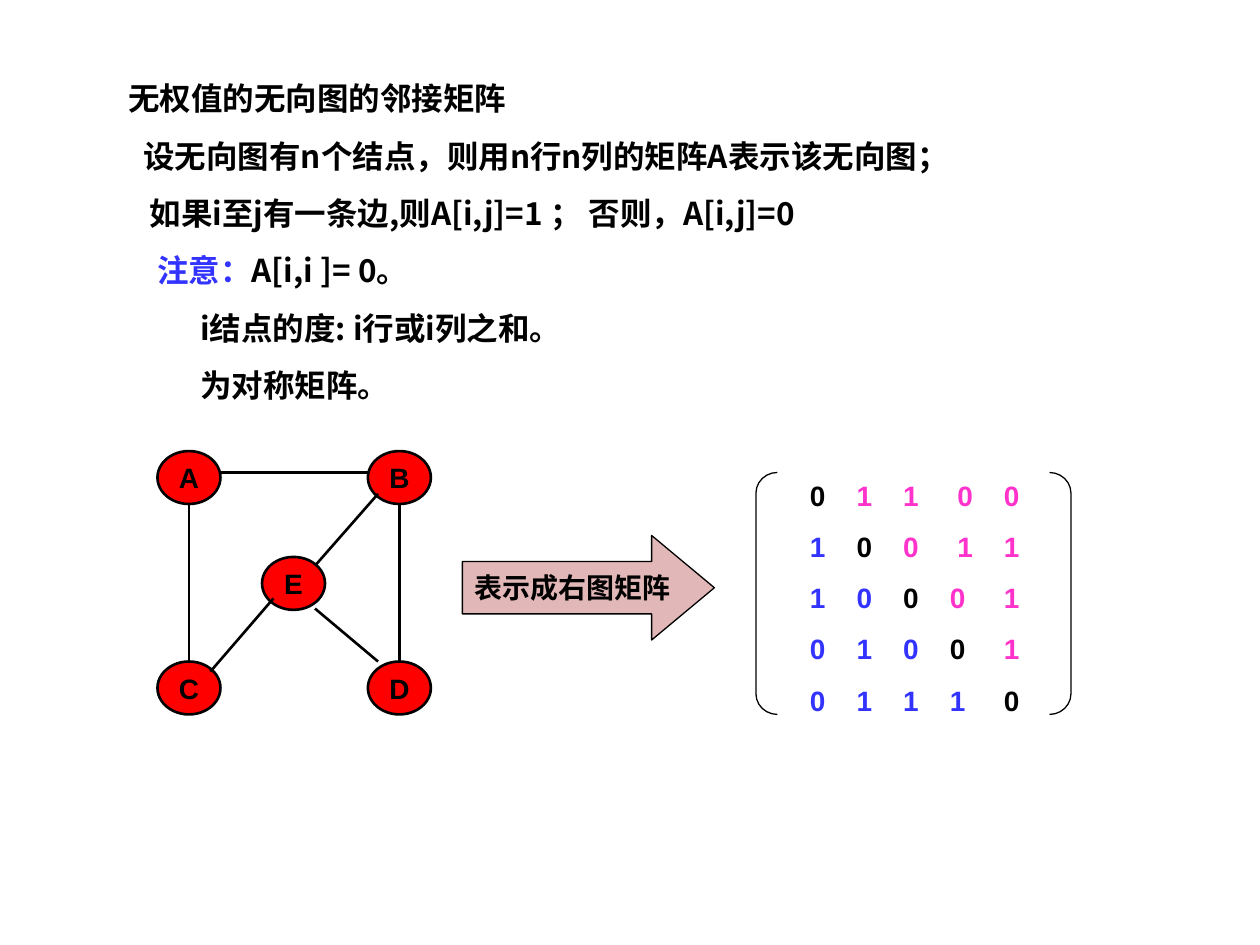
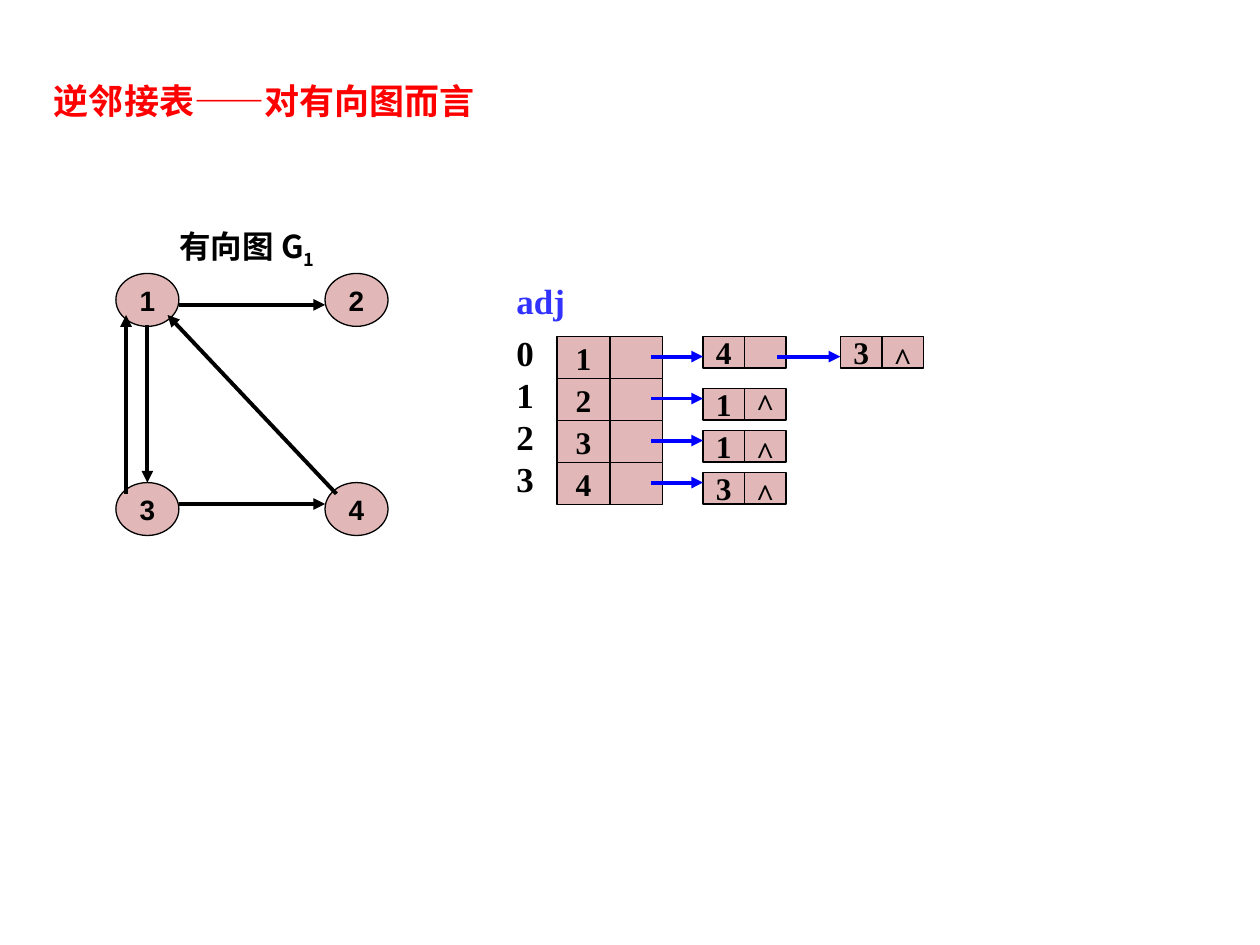
"""Two slides on graph storage: the adjacency matrix and the inverse adjacency list."""
import lxml.etree
import pptx
import pptx.dml.color
import pptx.enum.shapes
import pptx.enum.text
import pptx.oxml.ns
import pptx.util

Inches, Pt = pptx.util.Inches, pptx.util.Pt
PRESET = pptx.enum.shapes.MSO_SHAPE
ALIGN = pptx.enum.text.PP_ALIGN
ANCHOR = pptx.enum.text.MSO_ANCHOR
qn = pptx.oxml.ns.qn

COLORS = {"ink": "000000", "red": "FF0000", "rose": "E1B7B7", "pink": "FF33CC",
          "note": "3333FF", "pointer": "0000FF"}
STYLES = {
    "body": {"name": "Noto Sans CJK SC", "size": Pt(18), "bold": True},
    "label": {"name": "Arial", "size": Pt(16), "bold": True},
    "title": {"name": "Arial", "size": Pt(20), "bold": True},
    "index": {"name": "Times New Roman", "size": Pt(20), "bold": True},
    "cell": {"name": "Times New Roman", "size": Pt(18), "bold": True},
}

DEFINITION = [
    (0, [("无权值的无向图的邻接矩阵", "ink")]),
    (0.12, [("设无向图有n个结点，则用n行n列的矩阵A表示该无向图；", "ink")]),
    (0.17, [("如果i至j有一条边,则A[i,j]=1 ； 否则，A[i,j]=0", "ink")]),
    (0.23, [("注意：", "note"), ("A[i,i ]= 0。", "ink")]),
    (0.57, [("i结点的度: i行或i列之和。", "ink")]),
    (0.57, [("为对称矩阵。", "ink")]),
]
UNDIRECTED_NODES = {"A": (1.25, 3.58), "B": (2.92, 3.58), "C": (1.25, 5.25),
                    "D": (2.92, 5.25), "E": (2.08, 4.42)}
UNDIRECTED_EDGES = [
    (1.75, 3.75, 2.92, 3.75), (2.5, 4.49, 3, 3.92), (1.5, 4, 1.5, 5.25),
    (3.17, 4, 3.17, 5.25), (1.67, 5.33, 2.17, 4.75), (3, 5.25, 2.5, 4.83),
]
ARROW_LABEL = "表示成右图矩阵"
MATRIX = ["01100", "10011", "10001", "01001", "01110"]
MATRIX_STOPS = [(0.37, 0.74, 1.17, 1.54)] * 2 + [(0.37, 0.74, 1.11, 1.54)] * 3
BRACKETS = [(PRESET.LEFT_BRACKET, 6), (PRESET.RIGHT_BRACKET, 8.33)]

LIST_TITLE = "逆邻接表——对有向图而言"
GRAPH_NAME = ("有向图 G", "1")
DIRECTED_NODES = {"1": (0.92, 2.17), "2": (2.58, 2.17), "3": (0.92, 3.83), "4": (2.58, 3.83)}
DIRECTED_EDGES = [
    (1.42, 2.42, 2.58, 2.42), (1.42, 4, 2.58, 4), (1.17, 2.58, 1.17, 3.83),
    (2.67, 3.92, 1.33, 2.5), (1, 3.92, 1, 2.5),
]
LIST_NAME = "adj"
ADJACENCY = [("1", ["4", "3"]), ("2", ["1"]), ("3", ["1"]), ("4", ["3"])]
END_MARK = "^"
END_SPACING = [1.3, 1, 1.3, 1.3]

NODE_SIZE = (0.5, 0.42)
HEAD_LEFT, HEAD_TOP, HEAD_WIDTH, ROW_HEIGHT = 4.42, 2.67, 0.42, 1 / 3
LINK_LEFTS, LINK_WIDTH, LINK_HEIGHT = (5.58, 6.67), 0.33, 0.25
POINTER_STARTS = (5.17, 6.17)


def rgb(color):
    return pptx.dml.color.RGBColor.from_string(COLORS[color])


def add_run(paragraph, text, style, color="ink"):
    run = paragraph.add_run()
    run.text = text
    for attribute, value in STYLES[style].items():
        setattr(run.font, attribute, value)
    run.font.color.rgb = rgb(color)
    if style == "body":
        lxml.etree.SubElement(run.font._element, qn("a:ea"), typeface=STYLES[style]["name"])
    return run


def add_text(slide, box, lines, style, gap=0, align=ALIGN.LEFT):
    """Each line is (indent, runs, tab stops); gap is the space between lines."""
    frame = slide.shapes.add_textbox(*map(Inches, box)).text_frame
    frame.word_wrap = True
    for number, (indent, runs, stops) in enumerate(lines):
        paragraph = frame.add_paragraph() if number else frame.paragraphs[0]
        properties = paragraph._p.get_or_add_pPr()
        properties.set("marL", str(Inches(indent)))
        if stops:
            tabs = lxml.etree.SubElement(properties, qn("a:tabLst"))
            for stop in stops:
                lxml.etree.SubElement(tabs, qn("a:tab"), pos=str(Inches(stop)), algn="l")
        paragraph.alignment = align
        paragraph.space_before = Pt(gap if number else 0)
        for text, color in runs:
            add_run(paragraph, text, style, color)
    return frame


def add_block(slide, preset, box, fill="rose", text="", style="label", weight=0.75, spacing=1):
    block = slide.shapes.add_shape(preset, *map(Inches, box))
    block.shadow.inherit = False
    if fill:
        block.fill.solid()
        block.fill.fore_color.rgb = rgb(fill)
    else:
        block.fill.background()
    block.line.color.rgb = rgb("ink")
    block.line.width = Pt(weight)
    if text:
        frame = block.text_frame
        frame.word_wrap = False
        frame.vertical_anchor = ANCHOR.MIDDLE
        paragraph = frame.paragraphs[0]
        paragraph.alignment = ALIGN.CENTER
        paragraph.line_spacing = spacing
        add_run(paragraph, text, style)
    return block


def add_edge(slide, ends, weight, color="ink", arrow=True):
    edge = slide.shapes.add_connector(pptx.enum.shapes.MSO_CONNECTOR.STRAIGHT, *map(Inches, ends))
    edge.line.color.rgb = rgb(color)
    edge.line.width = Pt(weight)
    if arrow:
        lxml.etree.SubElement(edge.line._get_or_add_ln(), qn("a:tailEnd"), type="triangle")
    lxml.etree.SubElement(edge._element.spPr, qn("a:effectLst"))


def add_graph(slide, nodes, edges, fill, node_weight, edge_weight, arrow):
    for name, corner in nodes.items():
        add_block(slide, PRESET.OVAL, corner + NODE_SIZE, fill, name, weight=node_weight)
    for ends in edges:
        add_edge(slide, ends, edge_weight, arrow=arrow)


def matrix_line(row, digits):
    runs = []
    for column, digit in enumerate(digits):
        color = "ink" if column == row else "pink" if column > row else "note"
        runs.append(("\t" * (column > 0) + digit, color))
    return 0, runs, MATRIX_STOPS[row]


def build_matrix_slide(slide):
    add_text(slide, (0.92, 0.58, 8.83, 2.68),
             [(indent, runs, ()) for indent, runs in DEFINITION], "body", gap=11.2)
    arrow = add_block(slide, PRESET.RIGHT_ARROW, (3.67, 4.25, 2, 0.83), text=ARROW_LABEL)
    arrow.adjustments[1] = 0.6
    for preset, left in BRACKETS:
        bracket = add_block(slide, preset, (left, 3.75, 0.17, 1.92), fill=None)
        bracket.adjustments[0] = 0.96
    add_text(slide, (6.33, 3.75, 2, 1.99),
             [matrix_line(row, digits) for row, digits in enumerate(MATRIX)], "label", gap=10)
    add_graph(slide, UNDIRECTED_NODES, UNDIRECTED_EDGES, "red", 1.5, 1.5, arrow=False)


def build_list_slide(slide):
    add_text(slide, (0.33, 0.58, 6, 0.44), [(0, [(LIST_TITLE, "red")], ())], "title")
    add_graph(slide, DIRECTED_NODES, DIRECTED_EDGES, "rose", 0.75, 2.25, arrow=True)
    name, subscript = GRAPH_NAME
    caption = add_text(slide, (1.25, 1.75, 1.42, 0.44), [(0, [(name, "ink")], ())], "body",
                       align=ALIGN.CENTER)
    add_run(caption.paragraphs[0], subscript, "body").font._element.set("baseline", "-25000")

    add_text(slide, (4, 2.17, 0.75, 0.44), [(0, [(LIST_NAME, "note")], ())], "index")
    add_text(slide, (4, 2.58, 0.36, 1.44),
             [(0, [(str(row), "ink")], ()) for row in range(len(ADJACENCY))], "index")
    pointers = []
    for row, (head, links) in enumerate(ADJACENCY):
        top = HEAD_TOP + row * ROW_HEIGHT
        for column, text in enumerate((head, "")):
            add_block(slide, PRESET.RECTANGLE,
                      (HEAD_LEFT + column * HEAD_WIDTH, top, HEAD_WIDTH, ROW_HEIGHT),
                      text=text, style="cell")
        link_top = top + (0.08 if row else 0)
        for order, link in enumerate(links):
            left = LINK_LEFTS[order]
            last = order == len(links) - 1
            for column, text in enumerate((link, END_MARK if last else "")):
                add_block(slide, PRESET.RECTANGLE,
                          (left + column * LINK_WIDTH, link_top, LINK_WIDTH, LINK_HEIGHT),
                          text=text, style="cell", spacing=END_SPACING[row] if column else 1)
            pointers.append((POINTER_STARTS[order], top + 0.16, left, top + 0.16))
    for ends in pointers:
        add_edge(slide, ends, 2.25, "pointer")


def main():
    deck = pptx.Presentation()
    deck.slide_width, deck.slide_height = Inches(10), Inches(7.5)
    for build in (build_matrix_slide, build_list_slide):
        build(deck.slides.add_slide(deck.slide_layouts[6]))
    deck.save("out.pptx")


if __name__ == "__main__":
    main()
